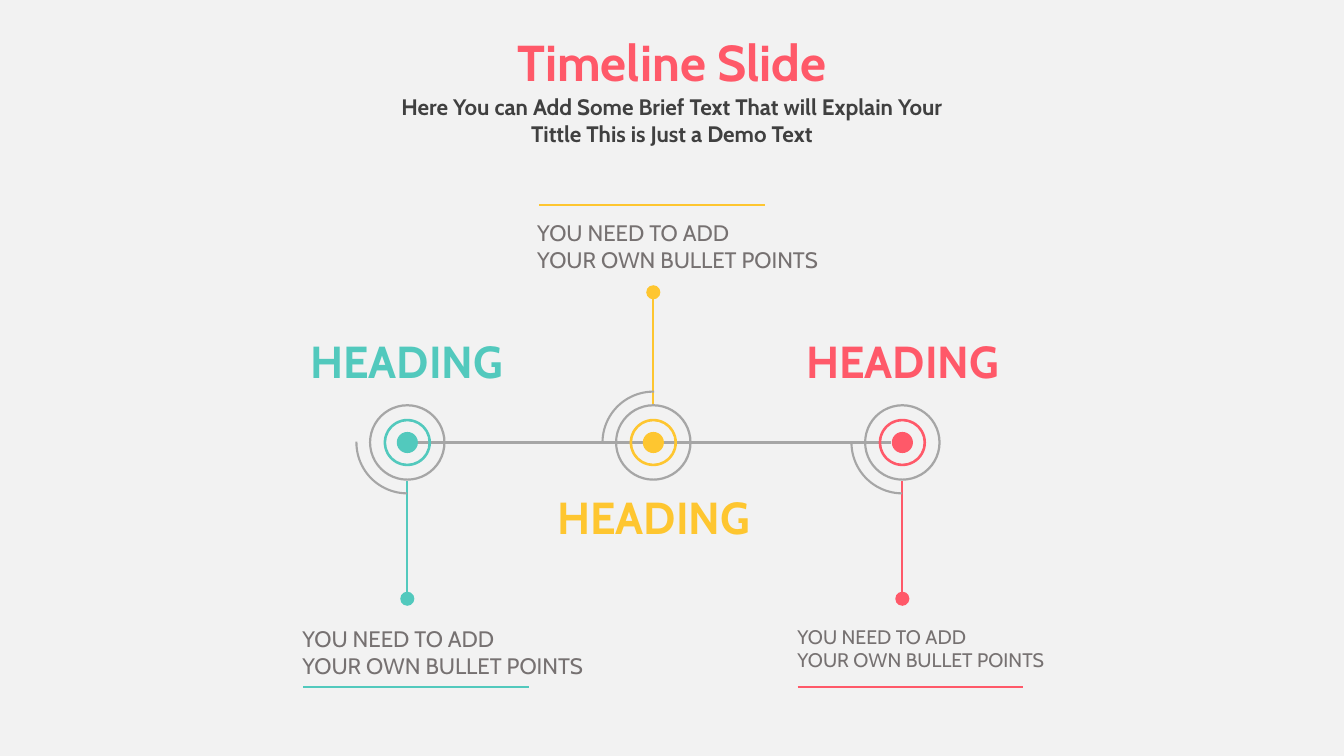
"""Build a timeline slide with three coloured milestones."""
from lxml import etree
from pptx import Presentation
from pptx.dml.color import RGBColor
from pptx.enum.shapes import MSO_CONNECTOR, MSO_SHAPE
from pptx.enum.text import MSO_ANCHOR, MSO_AUTO_SIZE, PP_ALIGN
from pptx.oxml.ns import qn
from pptx.util import Pt

PX = 9144
STRAIGHT = MSO_CONNECTOR.STRAIGHT
ARC, DONUT, OVAL = MSO_SHAPE.ARC, MSO_SHAPE.DONUT, MSO_SHAPE.OVAL
TOP, GROW = MSO_ANCHOR.TOP, MSO_AUTO_SIZE.SHAPE_TO_FIT_TEXT
LEFT, CENTER = PP_ALIGN.LEFT, PP_ALIGN.CENTER

PAPER = RGBColor(0xF2, 0xF2, 0xF2)
GRAY = RGBColor(0xA6, 0xA6, 0xA6)
NOTE = RGBColor(0x76, 0x71, 0x71)
DARK = RGBColor(0x40, 0x40, 0x40)
TEAL = RGBColor(0x52, 0xC9, 0xBD)
GOLD = RGBColor(0xFE, 0xC6, 0x30)
ROSE = RGBColor(0xFF, 0x59, 0x69)

deck = Presentation()
deck.slide_width, deck.slide_height = 1333 * PX, 750 * PX
slide = deck.slides.add_slide(deck.slide_layouts[5])
slide.background.fill.solid()
slide.background.fill.fore_color.rgb = PAPER
shapes = slide.shapes


def write(box, place, lines, size, color, bold=True, align=CENTER):
    box.left, box.top, box.width, box.height = [n * PX for n in place]
    frame = box.text_frame
    for name, value in {"word_wrap": True, "auto_size": GROW, "vertical_anchor": TOP}.items():
        setattr(frame, name, value)
    frame.text = "\n".join(lines)
    for para in frame.paragraphs:
        para.alignment = align
        for name, value in {"name": "Cabin", "size": Pt(size), "bold": bold}.items():
            setattr(para.font, name, value)
        para.font.color.rgb = color


def ring(kind, x, y, size, color, adjust=()):
    left, top = round((x - size / 2) * PX), round((y - size / 2) * PX)
    shape = shapes.add_shape(kind, left, top, size * PX, size * PX)
    shape.shadow.inherit = False
    for i, value in enumerate(adjust):
        shape.adjustments[i] = value
    if kind == ARC:
        shape.fill.background()
        shape.line.color.rgb = color
        shape.line.width = Pt(1.5)
    else:
        shape.fill.solid()
        shape.fill.fore_color.rgb = color
        shape.line.fill.background()
    return shape


MID = 439
HEAD = ["HEADING"]
BODY = ["YOU NEED TO ADD", "YOUR OWN BULLET POINTS"]
nodes = [
    (404, TEAL, 0, 594, (288, 326, 231, 64), (290, 615, 350, 64), 16, (301, 682)),
    (648, GOLD, 90, 290, (534, 481, 229, 64), (523, 213, 350, 64), 16, (535, 203)),
    (895, ROSE, 0, 594, (784, 326, 223, 64), (781, 615, 350, 57), 14, (791, 682)),
]

lines = [(655, MID, 884, MID, GRAY), (409, MID, 638, MID, GRAY)]
for x, color, turn, end, head, note, size, (left, base) in nodes:
    edge = MID + 38 if end > MID else MID - 38
    lines += [(x, end, x, edge, color), (left, base, left + 224, base, color)]
for *ends, color in lines:
    line = shapes.add_connector(STRAIGHT, *[n * PX for n in ends])
    line.line.color.rgb = color
    line.line.width = Pt(1.5)
    etree.SubElement(line._element.spPr, qn("a:effectLst"))

for x, color, turn, end, head, note, size, rule in nodes:
    ring(ARC, x, MID, 101, GRAY, (54.2, 108.53)).rotation = turn
    ring(OVAL, x, MID, 21, color)
    ring(DONUT, x, MID, 47, color, (0.053,))
    ring(DONUT, x, MID, 76, GRAY, (0.029,))
    ring(OVAL, x, end, 14, color)
    write(shapes.add_textbox(0, 0, 0, 0), head, HEAD, 32, color)
    write(shapes.add_textbox(0, 0, 0, 0), note, BODY, size, NOTE, False, LEFT)

write(shapes.title, (402, 26, 529, 71), ["Timeline Slide"], 36, ROSE)
intro = "Here You can Add Some Brief Text That will Explain Your Tittle This is Just a Demo Text"
write(shapes.add_textbox(0, 0, 0, 0), (366, 88, 601, 64), [intro], 16, DARK)

deck.save("out.pptx")
